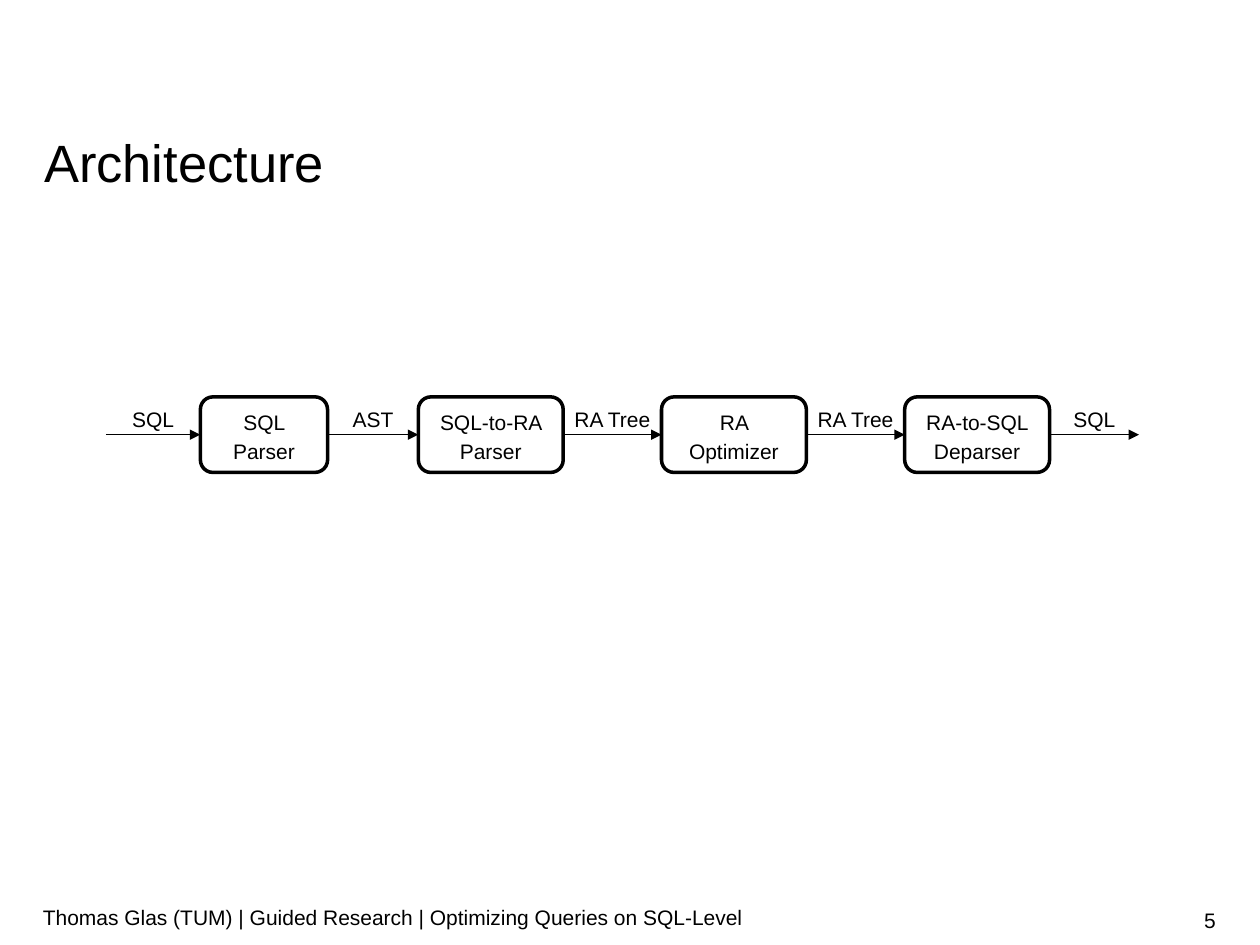
from lxml import etree
from pptx import Presentation
from pptx.dml.color import RGBColor
from pptx.enum.shapes import MSO_CONNECTOR, MSO_SHAPE
from pptx.enum.text import MSO_ANCHOR, MSO_AUTO_SIZE, PP_ALIGN
from pptx.oxml.ns import qn
from pptx.util import Inches, Pt

BLACK = RGBColor(0x00, 0x00, 0x00)
STRAIGHT = MSO_CONNECTOR.STRAIGHT
ROUNDED = MSO_SHAPE.ROUNDED_RECTANGLE
TOP, MIDDLE = MSO_ANCHOR.TOP, MSO_ANCHOR.MIDDLE
LEFT, CENTER, RIGHT = PP_ALIGN.LEFT, PP_ALIGN.CENTER, PP_ALIGN.RIGHT
GROW = MSO_AUTO_SIZE.SHAPE_TO_FIT_TEXT
FIXED = MSO_AUTO_SIZE.NONE

LEFT_SIDE, RIGHT_SIDE = 1, 3
FLOW_Y = 3.45
STAGE_HEIGHT = 0.6
LABEL_TOP, LABEL_WIDTH, LABEL_HEIGHT = 3.2, 0.75, 0.21
FLOW_START, FLOW_END = 0.84, 9.04
STAGES = [
    ("SQL Parser", 1.59, 1.01),
    ("SQL-to-RA Parser", 3.32, 1.15),
    ("RA Optimizer", 5.25, 1.15),
    ("RA-to-SQL Deparser", 7.18, 1.15),
]
FLOWS = ["SQL", "AST", "RA Tree", "RA Tree", "SQL"]


class PipelineSlide:
    """Holds the style and the slide, and adds each kind of element."""

    font_name = "Arial"
    text_size = 12
    line_spacing = 1.14

    def __init__(self, slide):
        self.slide = slide

    def set_text(self, shape, text, size=text_size, align=LEFT, spacing=None, **frame_format):
        frame = shape.text_frame
        frame.text = text
        for name, value in {"word_wrap": True, **frame_format}.items():
            setattr(frame, name, value)
        paragraph = frame.paragraphs[0]
        paragraph.alignment = align
        if spacing is not None:
            paragraph.line_spacing = spacing
        font = paragraph.runs[0].font
        for name, value in {"name": self.font_name, "size": Pt(size)}.items():
            setattr(font, name, value)
        font.color.rgb = BLACK

    def title(self, text, left, top, width, height):
        heading = self.slide.shapes.title
        box = {"left": left, "top": top, "width": width, "height": height}
        for name, value in box.items():
            setattr(heading, name, Inches(value))
        self.set_text(heading, text, 30, LEFT, Pt(32), vertical_anchor=TOP, auto_size=GROW,
                      margin_left=0, margin_right=0, margin_top=0, margin_bottom=0)

    def textbox(self, text, left, top, width, height, **text_format):
        box = self.slide.shapes.add_textbox(
            Inches(left), Inches(top), Inches(width), Inches(height))
        self.set_text(box, text, margin_left=0, margin_right=0, **text_format)

    def footer(self, text, left, top, width, align):
        self.textbox(text, left, top, width, 0.4, align=align,
                     vertical_anchor=MIDDLE, auto_size=FIXED)

    def flow_label(self, text, center):
        self.textbox(text, center - LABEL_WIDTH / 2, LABEL_TOP, LABEL_WIDTH, LABEL_HEIGHT,
                     align=CENTER, spacing=self.line_spacing, auto_size=GROW,
                     vertical_anchor=TOP, margin_top=0, margin_bottom=0)

    def stage(self, text, left, width):
        stage = self.slide.shapes.add_shape(
            ROUNDED, Inches(left), Inches(FLOW_Y - STAGE_HEIGHT / 2),
            Inches(width), Inches(STAGE_HEIGHT))
        stage.shadow.inherit = False
        stage.fill.background()
        stage.line.color.rgb = BLACK
        stage.line.width = Pt(2)
        self.set_text(stage, text, align=CENTER, spacing=self.line_spacing,
                      vertical_anchor=MIDDLE)
        return stage

    def arrow(self, start, end, source, target):
        arrow = self.slide.shapes.add_connector(
            STRAIGHT, Inches(start), Inches(FLOW_Y), Inches(end), Inches(FLOW_Y))
        if source is not None:
            arrow.begin_connect(source, RIGHT_SIDE)
        if target is not None:
            arrow.end_connect(target, LEFT_SIDE)
        arrow.line.color.rgb = BLACK
        arrow.line.width = Pt(0.75)
        properties = arrow._element.spPr
        etree.SubElement(properties.find(qn("a:ln")), qn("a:tailEnd"), type="triangle")
        etree.SubElement(properties, qn("a:effectLst"))


def main():
    deck = Presentation()
    deck.slide_width, deck.slide_height = Inches(10), Inches(7.5)
    page = PipelineSlide(deck.slides.add_slide(deck.slide_layouts[5]))

    page.title("Architecture", 0.35, 1.09, 9.31, 0.45)
    stages = [page.stage(*stage) for stage in STAGES]
    starts = [FLOW_START] + [left + width for _, left, width in STAGES]
    ends = [left for _, left, _ in STAGES] + [FLOW_END]
    flows = zip(FLOWS, starts, ends, [None] + stages, stages + [None])
    for label, start, end, source, target in flows:
        page.arrow(start, end, source, target)
        page.flow_label(label, (start + end) / 2)

    page.footer("Thomas Glas (TUM) | Guided Research | Optimizing Queries on SQL-Level",
                0.34, 7.08, 7.07, LEFT)
    page.footer("5", 7.41, 7.1, 2.24, RIGHT)
    deck.save("out.pptx")


if __name__ == "__main__":
    main()
